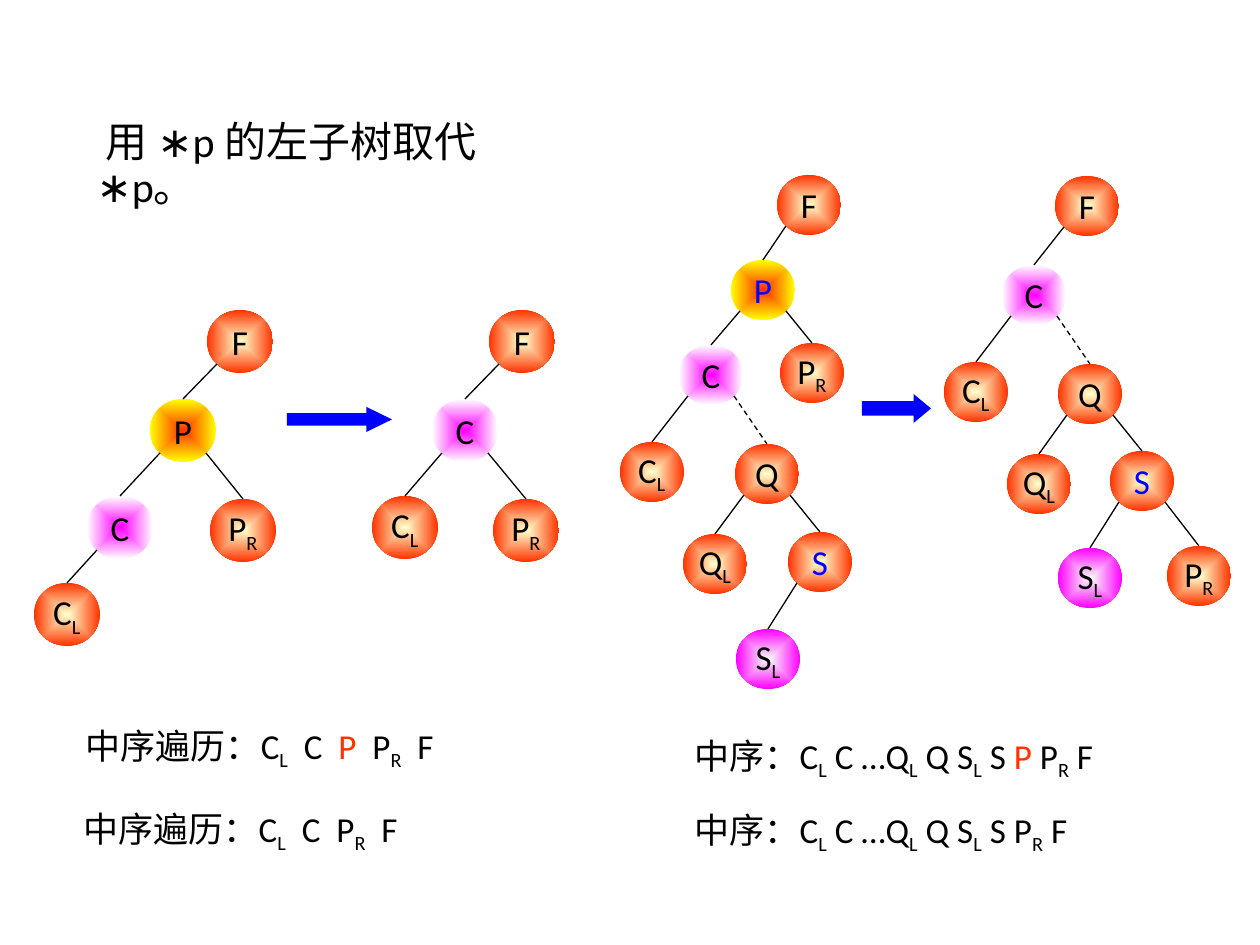
"""Build the slide on deleting a binary search tree node with two subtrees."""
import pptx
import pptx.dml.color
import pptx.enum.dml
import pptx.enum.shapes
import pptx.enum.text
import pptx.oxml
import pptx.oxml.ns
import pptx.util

PX = 914400 // 126
BLACK, BLUE, RED = "000000", "0000FF", "FF3300"
NODE_COLORS = {
    "P": (RED, "FFFF00"),
    "C": ("FF00FF", "FFFFFF"),
    "S|L": ("F8F8F8", "FF00FF"),
}
PLAIN_NODE = ("FFFFCC", RED)
RADIAL = (
    '<a:path %s path="shape"><a:fillToRect l="50000" t="50000" r="50000" b="50000"/></a:path>'
    % pptx.oxml.ns.nsdecls("a")
)

SMALL_BEFORE = {
    "F": (207, 310, None),
    "P": (150, 399, "F"),
    "C": (87, 496, "P"),
    "P|R": (210, 499, "P"),
    "C|L": (34, 583, "C"),
}
SMALL_AFTER = {
    "F": (489, 310, None),
    "C": (432, 399, "F"),
    "P|R": (493, 499, "C"),
    "C|L": (372, 496, "C"),
}
LARGE_BEFORE = {
    "F": (777, 175, None),
    "P": (731, 260, "F"),
    "C": (679, 345, "P"),
    "P|R": (780, 343, "P"),
    "C|L": (620, 442, "C"),
    "Q": (735, 444, "C"),
    "Q|L": (683, 534, "Q"),
    "S": (788, 532, "Q"),
    "S|L": (736, 629, "S"),
}
LARGE_AFTER = {
    "F": (1055, 176, None),
    "C": (1002, 265, "F"),
    "P|R": (1167, 546, "S"),
    "C|L": (944, 362, "C"),
    "Q": (1058, 364, "C"),
    "Q|L": (1007, 454, "Q"),
    "S": (1110, 451, "Q"),
    "S|L": (1058, 548, "S"),
}
TRAVERSALS = [
    (73, 721, 426, "中序遍历：C|L|  C  |P|  P|R|  F"),
    (71, 804, 387, "中序遍历：C|L|  C  P|R|  F"),
    (682, 731, 514, "中序：C|L| C …Q|L| Q S|L| S |P| P|R| F"),
    (682, 805, 484, "中序：C|L| C …Q|L| Q S|L| S P|R| F"),
]


def rgb(code):
    """Turn a hex string into a colour."""
    return pptx.dml.color.RGBColor.from_string(code)


def px(*lengths):
    """Turn whole pixels into EMU."""
    return [pptx.util.Emu(round(length) * PX) for length in lengths]


def write(paragraph, marked, size=20, color=BLACK):
    """Add runs split at bars: every second piece is a subscript L or R, or a red letter."""
    for index, piece in enumerate(marked.split("|")):
        marked_piece = index % 2 == 1
        subscript = marked_piece and piece in "LR"
        run = paragraph.add_run()
        run.text = piece
        run.font.size = pptx.util.Pt(size)
        run.font.name = "Calibri"
        run.font.color.rgb = rgb(RED if marked_piece and not subscript else color)
        if subscript:
            run._r.get_or_add_rPr().set("baseline", "-25000")


def add_heading(slide, text):
    """Place and fill the title placeholder."""
    heading = slide.shapes.title
    heading.left, heading.top, heading.width, heading.height = px(84, 115, 499, 58)
    frame = heading.text_frame
    frame.word_wrap = True
    frame.auto_size = pptx.enum.text.MSO_AUTO_SIZE.SHAPE_TO_FIT_TEXT
    frame.vertical_anchor = pptx.enum.text.MSO_ANCHOR.TOP
    sentence = frame.paragraphs[0]
    sentence.alignment = pptx.enum.text.PP_ALIGN.LEFT
    sentence.line_spacing = 0.9
    write(sentence, text, size=24)


def add_traversal(slide, left, top, width, marked):
    """Add one line listing an in-order traversal."""
    frame = slide.shapes.add_textbox(*px(left, top, width, 54)).text_frame
    frame.word_wrap = True
    frame.auto_size = pptx.enum.text.MSO_AUTO_SIZE.SHAPE_TO_FIT_TEXT
    frame.vertical_anchor = pptx.enum.text.MSO_ANCHOR.MIDDLE
    write(frame.paragraphs[0], marked)


def add_step_arrow(slide, left, top, width, height, head):
    """Add a blue block arrow leading from one tree to the next."""
    arrow = slide.shapes.add_shape(
        pptx.enum.shapes.MSO_SHAPE.RIGHT_ARROW, *px(left, top, width, height))
    arrow.shadow.inherit = False
    arrow.adjustments[0] = 0.5
    arrow.adjustments[1] = head
    arrow.fill.solid()
    arrow.fill.fore_color.rgb = rgb(BLUE)
    arrow.line.fill.background()


def add_node(tree, label, left, top, size, color):
    """Add a tree node with a radial gradient and a centred label."""
    node = tree.shapes.add_shape(pptx.enum.shapes.MSO_SHAPE.OVAL, *px(left, top, *size))
    node.shadow.inherit = False
    node.line.fill.background()
    node.fill.gradient()
    for stop, code in zip(node.fill.gradient_stops, NODE_COLORS.get(label, PLAIN_NODE)):
        stop.color.rgb = rgb(code)
    gradient = node.element.spPr.find(pptx.oxml.ns.qn("a:gradFill"))
    linear = gradient.find(pptx.oxml.ns.qn("a:lin"))
    gradient.replace(linear, pptx.oxml.parse_xml(RADIAL))
    frame = node.text_frame
    frame.word_wrap = False
    frame.vertical_anchor = pptx.enum.text.MSO_ANCHOR.MIDDLE
    frame.paragraphs[0].alignment = pptx.enum.text.PP_ALIGN.CENTER
    write(frame.paragraphs[0], label, color=color)


def add_branch(tree, parent, child, size, dashed):
    """Draw a line from the lower diagonal of the parent to the top of the child."""
    width, height = size
    side = 1 if child[0] > parent[0] else -1
    start = (parent[0] + width * (0.5 + side * 0.354), parent[1] + height * 0.854)
    end = (child[0] + width / 2, child[1])
    branch = tree.shapes.add_connector(
        pptx.enum.shapes.MSO_CONNECTOR.STRAIGHT, *px(*start, *end))
    branch.line.color.rgb = rgb(BLACK)
    branch.line.width = pptx.util.Pt(0.75)
    if dashed:
        branch.line.dash_style = pptx.enum.dml.MSO_LINE.DASH
    branch.element.spPr.append(pptx.oxml.parse_xml(
        "<a:effectLst %s/>" % pptx.oxml.ns.nsdecls("a")))


def add_tree(slide, nodes, size, blue=()):
    """Add a group of nodes and the branches between them."""
    tree = slide.shapes.add_group_shape()
    for label, (left, top, _) in nodes.items():
        add_node(tree, label, left, top, size, BLUE if label in blue else BLACK)
    for label, (left, top, parent) in nodes.items():
        if parent:
            dashed = (parent, label) == ("C", "Q")
            add_branch(tree, nodes[parent], (left, top), size, dashed)


def main():
    """Build and save the slide."""
    deck = pptx.Presentation()
    deck.slide_width, deck.slide_height = pptx.util.Inches(10), pptx.util.Inches(7.5)
    slide = deck.slides.add_slide(deck.slide_layouts[5])
    add_heading(slide, " 用 ∗p 的左子树取代 ∗p。")
    add_step_arrow(slide, 287, 407, 105, 25, 1.02)
    add_step_arrow(slide, 862, 394, 69, 29, 0.6)
    add_tree(slide, SMALL_BEFORE, (66, 63))
    add_tree(slide, SMALL_AFTER, (66, 63))
    add_tree(slide, LARGE_BEFORE, (64, 60), blue=("P", "S"))
    add_tree(slide, LARGE_AFTER, (64, 60), blue=("S",))
    for traversal in TRAVERSALS:
        add_traversal(slide, *traversal)
    deck.save("out.pptx")


if __name__ == "__main__":
    main()
